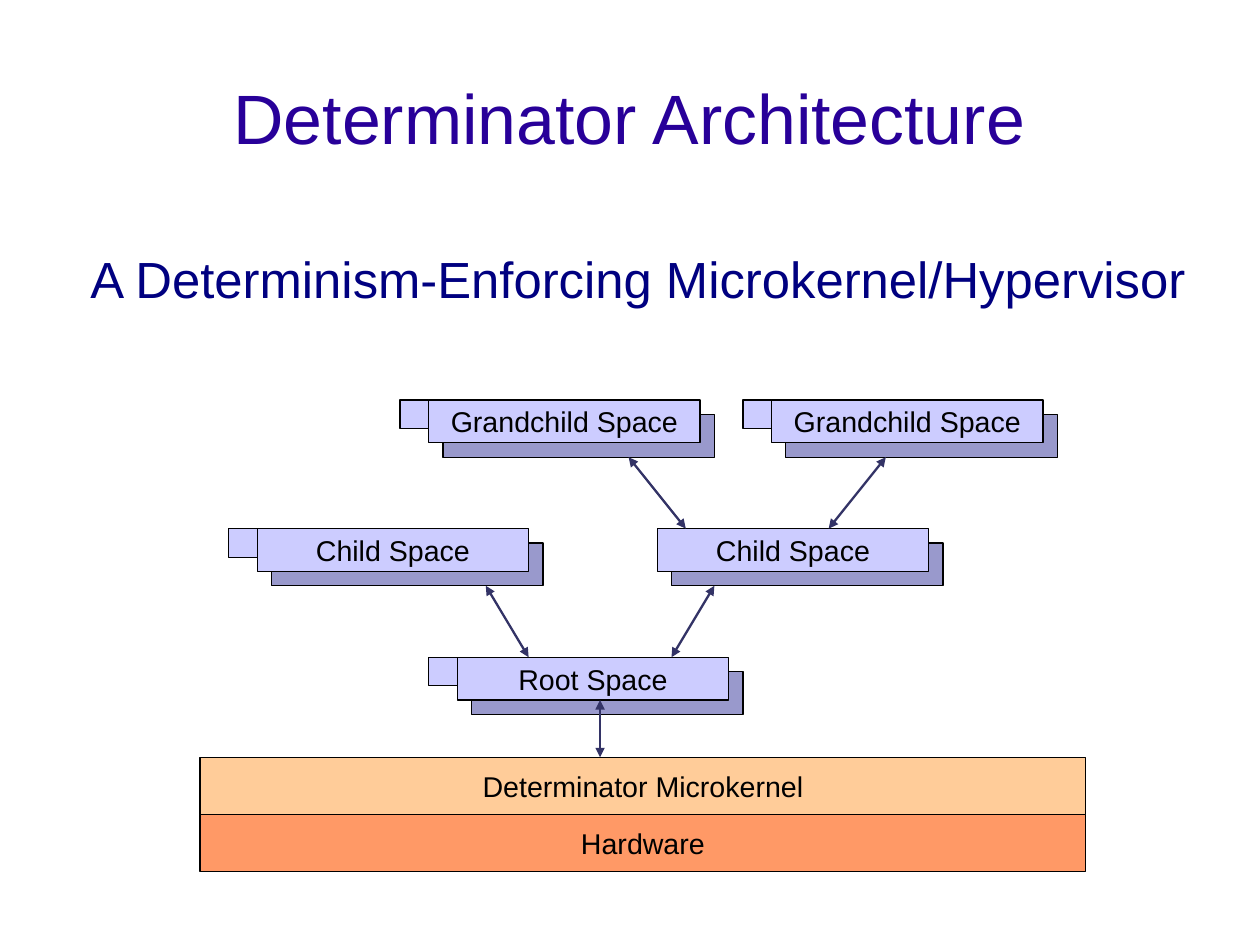
import pptx
import pptx.util
import pptx.dml.color
import pptx.enum.shapes
import pptx.enum.text
import pptx.oxml.ns
import lxml.etree
from pptx.util import Inches

FONT = "Arial"
COLORS = {
    "title": "280099",
    "subtitle": "000080",
    "ink": "000000",
    "space": "CCCCFF",
    "shadow": "9999CC",
    "arrow": "333366",
    "kernel": "FFCC99",
    "hardware": "FF9966",
}

# The page is 28 by 21 centimetres
CM_PER_INCH = 2.54
PAGE_WIDTH = Inches(28 / CM_PER_INCH)
PAGE_HEIGHT = Inches(21 / CM_PER_INCH)

# The diagram sits on a quarter-inch grid: positions are in grid units
GRID = 0.25
SPACE_SIZE = (9.5, 1.5)
BAR_SIZE = (31, 2)
BAR_LEFT = 7

# Label, left, top, whether a small tab sits at its left
SPACES = [
    ("Child Space", 9, 18.5, True),
    ("Child Space", 23, 18.5, False),
    ("Grandchild Space", 15, 14, True),
    ("Grandchild Space", 27, 14, True),
    ("Root Space", 16, 23, True),
]

BARS = [
    ("Determinator Microkernel", 26.5, "kernel"),
    ("Hardware", 28.5, "hardware"),
]

# Start x, start y, end x, end y
ARROWS = [
    (18.5, 23, 17, 20.5),
    (23.5, 23, 25, 20.5),
    (29, 18.5, 31, 16),
    (24, 18.5, 22, 16),
    (21, 26.5, 21, 24.5),
]


def grid(units):
    return Inches(units * GRID)


def rgb(name):
    return pptx.dml.color.RGBColor.from_string(COLORS[name])


def add_text(para, text, size, color):
    span = para.add_run()
    span.text = text
    span.font.name = FONT
    span.font.size = pptx.util.Pt(size)
    span.font.color.rgb = rgb(color)


def fill_placeholder(holder, place, text, size, color, align, anchor):
    holder.left, holder.top, holder.width, holder.height = map(Inches, place)
    frame = holder.text_frame
    frame.margin_left = frame.margin_right = 0
    frame.margin_top = frame.margin_bottom = 0
    frame.word_wrap = True
    frame.auto_size = pptx.enum.text.MSO_AUTO_SIZE.NONE
    frame.vertical_anchor = anchor
    para = frame.paragraphs[0]
    para.alignment = align
    para.space_before = pptx.util.Pt(0)
    add_text(para, text, size, color)
    return para


def remove_bullet(para):
    properties = para._p.get_or_add_pPr()
    properties.set("marL", "0")
    properties.set("indent", "0")
    lxml.etree.SubElement(properties, pptx.oxml.ns.qn("a:buNone"))


def add_box(page, left, top, size, color, label=None):
    box = page.shapes.add_shape(
        pptx.enum.shapes.MSO_SHAPE.RECTANGLE,
        grid(left), grid(top), grid(size[0]), grid(size[1]))
    box.shadow.inherit = False
    box.fill.solid()
    box.fill.fore_color.rgb = rgb(color)
    box.line.color.rgb = rgb("ink")
    box.line.width = pptx.util.Pt(0)
    if label:
        frame = box.text_frame
        frame.word_wrap = True
        frame.vertical_anchor = pptx.enum.text.MSO_ANCHOR.MIDDLE
        para = frame.paragraphs[0]
        para.alignment = pptx.enum.text.PP_ALIGN.CENTER
        add_text(para, label, 18, "ink")


def add_space(page, label, left, top, has_tab):
    add_box(page, left + 0.5, top + 0.5, SPACE_SIZE, "shadow")
    if has_tab:
        add_box(page, left - 1, top, (1, 1), "space")
    add_box(page, left, top, SPACE_SIZE, "space", label)


def add_arrow(page, *ends):
    arrow = page.shapes.add_connector(
        pptx.enum.shapes.MSO_CONNECTOR.STRAIGHT, *map(grid, ends))
    arrow.line.color.rgb = rgb("arrow")
    arrow.line.width = pptx.util.Pt(1.45)
    outline = arrow.line._get_or_add_ln()
    for end in ("a:headEnd", "a:tailEnd"):
        lxml.etree.SubElement(outline, pptx.oxml.ns.qn(end), type="triangle")
    lxml.etree.SubElement(arrow._element.spPr, pptx.oxml.ns.qn("a:effectLst"))


def main():
    deck = pptx.Presentation()
    deck.slide_width = PAGE_WIDTH
    deck.slide_height = PAGE_HEIGHT
    page = deck.slides.add_slide(deck.slide_layouts[1])

    # Title and subtitle
    fill_placeholder(
        page.shapes.title, (0.55, 0.33, 9.92, 1.38),
        "Determinator Architecture", 44, "title",
        pptx.enum.text.PP_ALIGN.CENTER, pptx.enum.text.MSO_ANCHOR.MIDDLE)
    subtitle = fill_placeholder(
        page.placeholders[1], (0.79, 2.17, 9.68, 1.21),
        "A Determinism-Enforcing Microkernel/Hypervisor", 32, "subtitle",
        pptx.enum.text.PP_ALIGN.LEFT, pptx.enum.text.MSO_ANCHOR.TOP)
    subtitle.space_after = pptx.util.Pt(14.2)
    remove_bullet(subtitle)

    # Kernel and hardware layers
    for label, top, color in BARS:
        add_box(page, BAR_LEFT, top, BAR_SIZE, color, label)

    # Tree of spaces and the links between them
    for space in SPACES:
        add_space(page, *space)
    for ends in ARROWS:
        add_arrow(page, *ends)

    deck.save("out.pptx")


if __name__ == "__main__":
    main()
